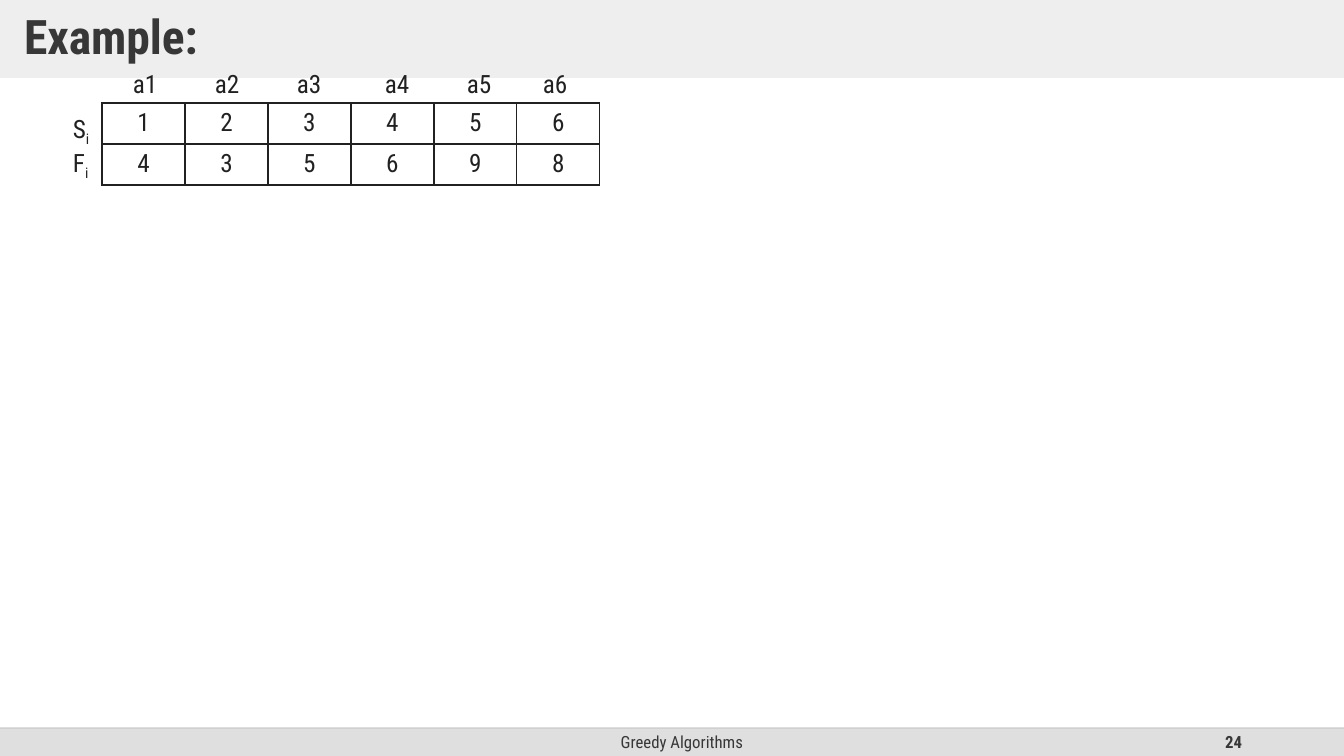
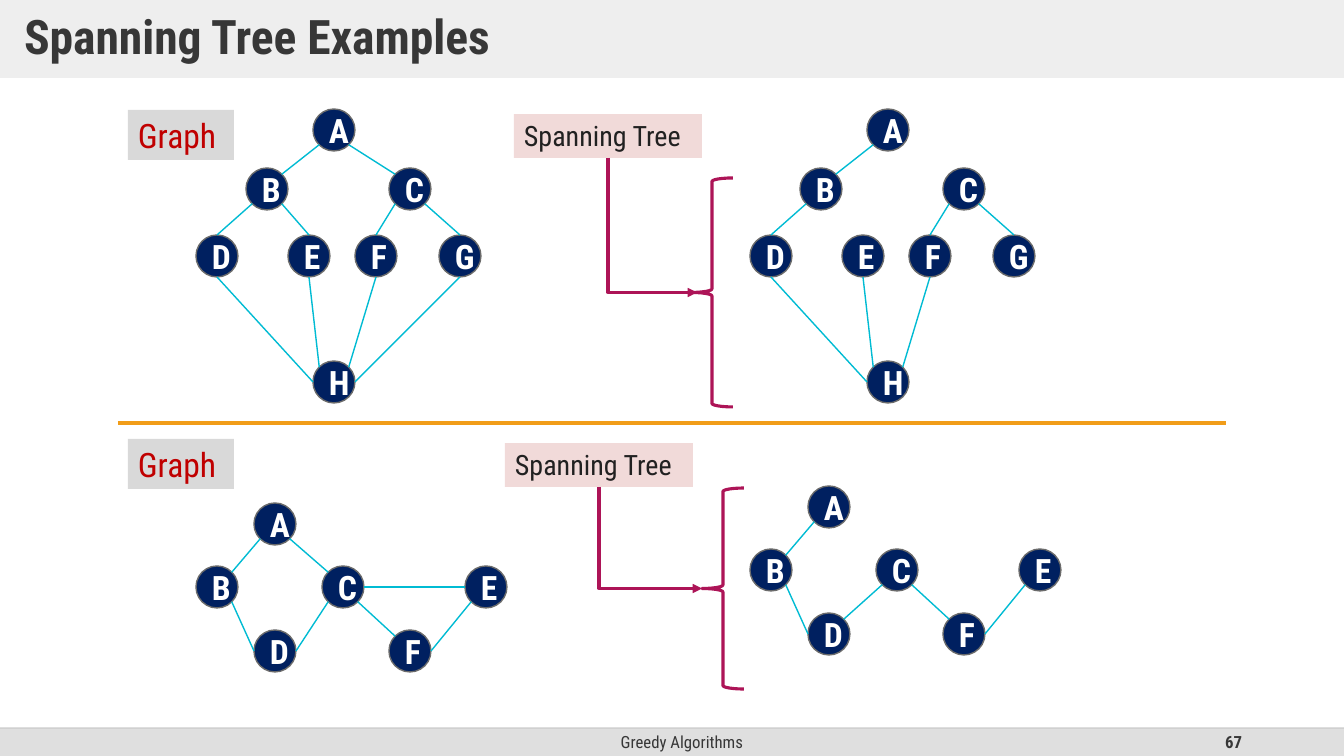
from lxml import etree
from pptx import Presentation
from pptx import util as u
from pptx.dml import color
from pptx.enum import shapes, text
from pptx.oxml import ns

EMU_PER_PX = 914400 / 100.8
WIDTH, HEIGHT = 1344, 756
FONT = "Roboto Condensed"
COLORS = {
    "band": "DFDFDF", "rule": "BFBFBF", "heading": "373737", "ink": "212121",
    "node": "002060", "node_line": "6B6B6B", "edge": "00BBD3", "white": "FFFFFF",
    "divider": "F19D19", "accent": "AD1457", "graph_label": "D9D9D9",
    "graph_text": "C00000", "tree_label": "F1DAD9",
}
NODE_SIZE = 42
SITES = {
    "n": (0.5, 0), "s": (0.5, 1), "w": (0, 0.5), "e": (1, 0.5),
    "nw": (0.15, 0.15), "ne": (0.85, 0.15), "sw": (0.15, 0.85), "se": (0.85, 0.85),
}
LAYERED_NODES = {
    "A": (117, 0), "B": (50, 59), "C": (193, 59), "D": (0, 126),
    "E": (92, 126), "F": (159, 126), "G": (243, 126), "H": (117, 252),
}
LAYERED_TREE = ["A.sw B.ne", "B.sw D.n", "C.sw F.n", "C.se G.n",
                "D.s H.w", "E.s H.nw", "F.s H.ne"]
LAYERED_EDGES = LAYERED_TREE + ["A.se C.nw", "B.se E.n", "G.s H.e"]
CYCLE_NODES = {
    "A": (58, 0), "B": (0, 63), "C": (126, 63),
    "D": (58, 127), "E": (269, 63), "F": (193, 127),
}
CYCLE_COMMON = ["A.sw B.ne", "B.se D.w", "C.se F.nw", "E.sw F.e"]
CYCLE_EDGES = CYCLE_COMMON + ["A.se C.nw", "D.e C.sw", "C.e E.w"]
CYCLE_TREE = CYCLE_COMMON + ["D.ne C.sw"]


def px(length):
    """Turn pixels into EMU."""
    return u.Emu(round(length * EMU_PER_PX))


def rgb(name):
    """Look up a named colour."""
    return color.RGBColor.from_string(COLORS[name])


def set_alpha(fill_parent, percent):
    """Make the solid fill below an element partly transparent."""
    color_element = fill_parent.find(".//" + ns.qn("a:srgbClr"))
    etree.SubElement(color_element, ns.qn("a:alpha")).set("val", str(percent * 1000))


def style_font(paragraph, size, color_name, bold=False):
    """Set the font of a whole paragraph."""
    font = paragraph.font
    font.name, font.size, font.bold = FONT, u.Pt(size), bold
    font.color.rgb = rgb(color_name)


def write(shape, words, size, color_name, bold=False,
          align=text.PP_ALIGN.LEFT, anchor=text.MSO_ANCHOR.TOP):
    """Write one styled paragraph into a shape and return it."""
    frame = shape.text_frame
    frame.word_wrap = True
    frame.vertical_anchor = anchor
    paragraph = frame.paragraphs[0]
    paragraph.text = words
    paragraph.alignment = align
    style_font(paragraph, size, color_name, bold)
    return paragraph


def add_shape(slide, kind, box, fill=None, line=None, line_width=1):
    """Add a flat preset shape."""
    shape = slide.shapes.add_shape(kind, *map(px, box))
    shape.shadow.inherit = False
    if fill:
        shape.fill.solid()
        shape.fill.fore_color.rgb = rgb(fill)
    else:
        shape.fill.background()
    if line:
        shape.line.color.rgb = rgb(line)
        shape.line.width = u.Pt(line_width)
    else:
        shape.line.fill.background()
    return shape


def add_line(slide, start, end, color_name, width=1, kind=shapes.MSO_CONNECTOR.STRAIGHT):
    """Add a flat connector between two points."""
    line = slide.shapes.add_connector(kind, *map(px, (*start, *end)))
    line.line.color.rgb = rgb(color_name)
    line.line.width = u.Pt(width)
    etree.SubElement(line._element.spPr, ns.qn("a:effectLst"))
    return line


def add_textbox(slide, box):
    """Add an empty text box."""
    return slide.shapes.add_textbox(*map(px, box))


def add_frame(slide, title, number):
    """Add the footer and the title band that all slides share."""
    middle = text.MSO_ANCHOR.MIDDLE
    footer_top, footer_height = 728, 28
    add_shape(slide, shapes.MSO_SHAPE.RECTANGLE,
              (0, footer_top, WIDTH, footer_height), "band")
    write(add_textbox(slide, (446, footer_top, 472, footer_height)), "Greedy Algorithms",
          12, "heading", align=text.PP_ALIGN.CENTER, anchor=middle)
    write(add_textbox(slide, (950, footer_top, 302, footer_height)), str(number),
          12, "heading", True, text.PP_ALIGN.RIGHT, middle)
    rule = add_line(slide, (0, footer_top), (WIDTH, footer_top), "rule")
    set_alpha(rule._element.spPr, 70)

    band = add_shape(slide, shapes.MSO_SHAPE.RECTANGLE, (0, 0, WIDTH, 78), "band")
    set_alpha(band._element.spPr, 50)
    frame = band.text_frame
    frame.margin_left = frame.margin_right = px(24)
    frame.margin_top = frame.margin_bottom = px(12)
    write(band, title, 34, "heading", True, anchor=middle).line_spacing = 0.9


def set_borders(cell, color_name):
    """Draw a thin line on all four sides of a table cell."""
    properties = cell._tc.get_or_add_tcPr()
    for index, side in enumerate(("lnL", "lnR", "lnT", "lnB")):
        border = etree.Element(ns.qn("a:" + side), w=str(u.Pt(1)))
        fill = etree.SubElement(border, ns.qn("a:solidFill"))
        etree.SubElement(fill, ns.qn("a:srgbClr"), val=COLORS[color_name])
        properties.insert(index, border)


def add_activity_table(slide, left, top, rows):
    """Add the grid of start and finish times."""
    column_width, row_height = 83, 41
    columns = len(rows[0])
    table = slide.shapes.add_table(
        len(rows), columns, px(left), px(top),
        px(column_width * columns), px(row_height * len(rows))).table
    table.first_row = table.horz_banding = False
    for row_index, row in enumerate(rows):
        for column_index, value in enumerate(row):
            cell = table.cell(row_index, column_index)
            cell.fill.background()
            paragraph = cell.text_frame.paragraphs[0]
            paragraph.text = str(value)
            paragraph.alignment = text.PP_ALIGN.CENTER
            style_font(paragraph, 18, "ink")
            set_borders(cell, "ink")


def add_activity_names(slide, left, top, names, stops):
    """Add the tabbed line of activity names."""
    box = add_textbox(slide, (left, top, 466, 40))
    properties = box.text_frame.paragraphs[0]._p.get_or_add_pPr()
    tabs = etree.SubElement(properties, ns.qn("a:tabLst"))
    for stop in stops:
        etree.SubElement(tabs, ns.qn("a:tab"), pos=str(px(stop)), algn="l")
    write(box, "\t".join(names), 18, "ink")


def add_row_names(slide, left, top, letters):
    """Add the row letters, each with a subscript i."""
    frame = add_textbox(slide, (left, top, 37, 102)).text_frame
    frame.word_wrap = False
    for index, letter in enumerate(letters):
        paragraph = frame.add_paragraph() if index else frame.paragraphs[0]
        paragraph.add_run().text = letter
        subscript = paragraph.add_run()
        subscript.text = "i"
        subscript._r.get_or_add_rPr().set("baseline", "-25000")
        style_font(paragraph, 18, "ink")


def add_graph(slide, left, top, nodes, edges):
    """Add a graph of lettered circles joined by lines."""
    for letter, (x, y) in nodes.items():
        circle = add_shape(slide, shapes.MSO_SHAPE.OVAL,
                           (left + x, top + y, NODE_SIZE, NODE_SIZE), "node", "node_line")
        write(circle, letter, 24, "white", True,
              text.PP_ALIGN.CENTER, text.MSO_ANCHOR.MIDDLE)

    def site_point(name):
        """Find a named point on the rim of a circle."""
        letter, site = name.split(".")
        (x, y), (across, down) = nodes[letter], SITES[site]
        return left + x + across * NODE_SIZE, top + y + down * NODE_SIZE

    for edge in edges:
        add_line(slide, *map(site_point, edge.split()), "edge")


def add_graph_label(slide, left, top):
    """Add the label of a graph."""
    label = add_shape(slide, shapes.MSO_SHAPE.RECTANGLE, (left, top, 106, 50), "graph_label")
    write(label, "Graph", 24, "graph_text")


def add_down_right_arrow(slide, start, end):
    """Add an elbow arrow that runs down and then right."""
    arrow = add_line(slide, start, end, "accent", 2.25, shapes.MSO_CONNECTOR.ELBOW)
    across, down = end[0] - start[0], end[1] - start[1]
    arrow.left = px(start[0] + (across - down) / 2)
    arrow.top = px(start[1] + (down - across) / 2)
    arrow.width, arrow.height = px(down), px(across)
    properties = arrow._element.spPr
    transform = properties.find(ns.qn("a:xfrm"))
    transform.set("rot", "16200000")
    transform.set("flipH", "1")
    properties.find(ns.qn("a:prstGeom")).set("prst", "bentConnector2")
    etree.SubElement(properties.find(ns.qn("a:ln")), ns.qn("a:tailEnd"), type="triangle")


def add_tree_pointer(slide, left, top, brace, overlap=0):
    """Add the tree label, its brace and the arrow between them."""
    width, height = 188, 44
    label = add_shape(slide, shapes.MSO_SHAPE.RECTANGLE,
                      (left, top, width, height), "tree_label")
    write(label, "Spanning Tree", 20, "ink")
    brace_left, brace_top, _, brace_height = brace
    add_down_right_arrow(slide, (left + width / 2, top + height),
                         (brace_left + overlap, brace_top + brace_height / 2))
    add_shape(slide, shapes.MSO_SHAPE.LEFT_BRACE, brace, line="accent", line_width=2.25)


def build_activity_slide(slide):
    """Build the slide with the activity times."""
    add_frame(slide, "Example:", 24)
    add_activity_table(slide, 102, 103, [(1, 2, 3, 4, 5, 6), (4, 3, 5, 6, 9, 8)])
    add_activity_names(slide, 123, 63, ("a1", "a2", "a3", "a4", "a5", "a6"),
                       (82, 164, 252, 334, 410))
    add_row_names(slide, 63, 108, "SF")


def build_tree_slide(slide):
    """Build the slide with two graphs and their spanning trees."""
    graph_left, tree_left, label_left = 196, 750, 128
    add_frame(slide, "Spanning Tree Examples", 67)
    add_graph(slide, graph_left, 109, LAYERED_NODES, LAYERED_EDGES)
    add_graph(slide, tree_left, 109, LAYERED_NODES, LAYERED_TREE)
    add_line(slide, (118, 423), (1226, 423), "divider", 2.25)
    add_graph(slide, graph_left, 503, CYCLE_NODES, CYCLE_EDGES)
    add_graph(slide, tree_left, 486, CYCLE_NODES, CYCLE_TREE)
    for top in (110, 439):
        add_graph_label(slide, label_left, top)
    add_tree_pointer(slide, 514, 114, (691, 178, 42, 229), overlap=6)
    add_tree_pointer(slide, 505, 443, (702, 488, 42, 201))


def main():
    """Build and save the presentation."""
    presentation = Presentation()
    presentation.slide_width, presentation.slide_height = px(WIDTH), px(HEIGHT)
    for build in (build_activity_slide, build_tree_slide):
        build(presentation.slides.add_slide(presentation.slide_layouts[6]))
    presentation.save("out.pptx")


if __name__ == "__main__":
    main()
